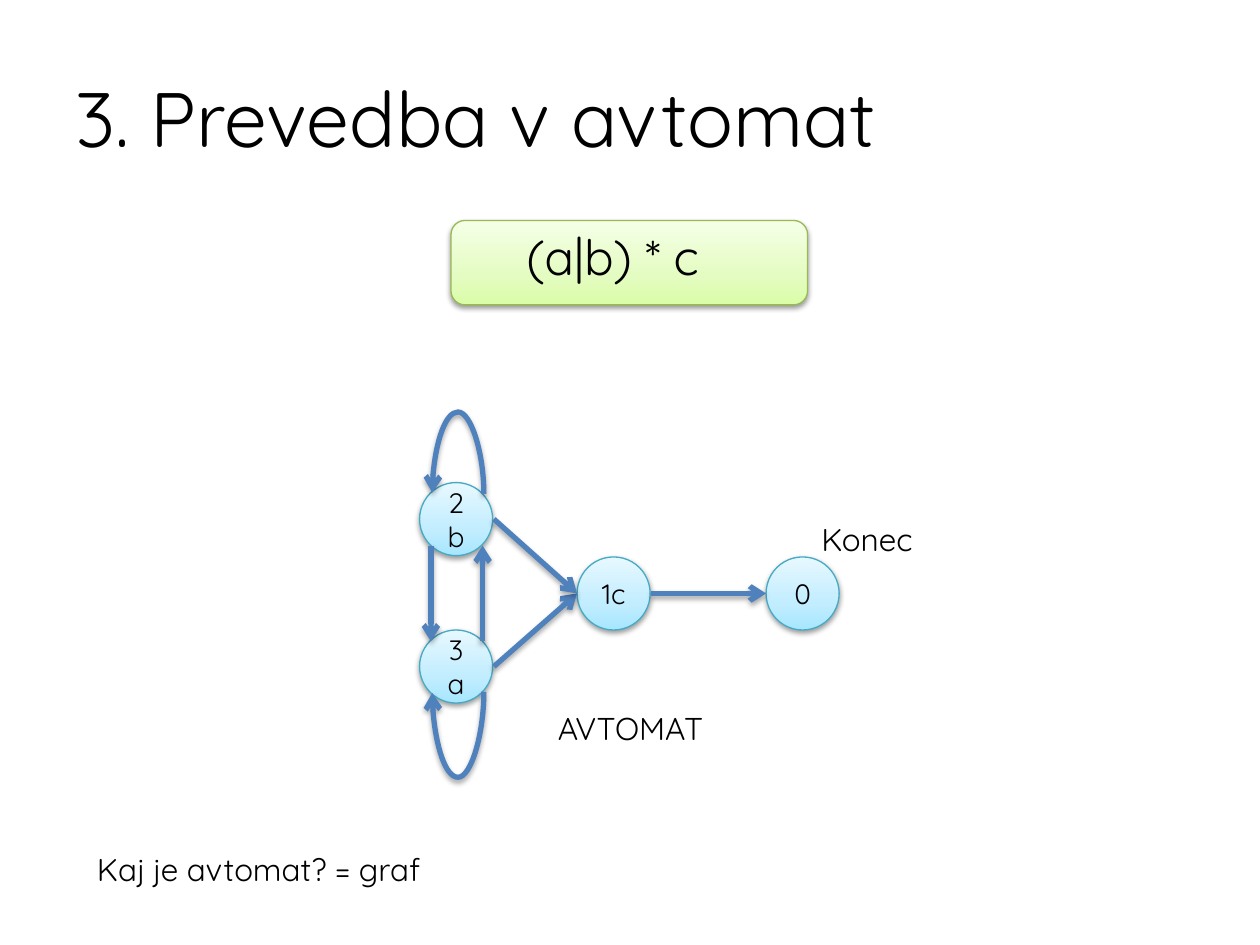
from copy import deepcopy
from lxml.etree import SubElement
from pptx import Presentation
from pptx.dml.color import RGBColor
from pptx.enum.shapes import MSO_CONNECTOR, MSO_SHAPE
from pptx.enum.text import MSO_ANCHOR, PP_ALIGN
from pptx.oxml.ns import qn
from pptx.util import Inches, Pt

BLACK = RGBColor(0x00, 0x00, 0x00)
ARROW_BLUE = RGBColor(0x4F, 0x81, 0xBD)
STATE_LINE = RGBColor(0x46, 0xAA, 0xC5)
STATE_FILL = [RGBColor(0xA7, 0xE6, 0xFF), RGBColor(0xC1, 0xED, 0xFF), RGBColor(0xE7, 0xF8, 0xFF)]
REGEX_LINE = RGBColor(0x98, 0xB9, 0x55)
REGEX_FILL = [RGBColor(0xDA, 0xFD, 0xA7), RGBColor(0xE4, 0xFC, 0xC2), RGBColor(0xF5, 0xFF, 0xE7)]
FONT = "Quicksand"
STATE_SIZE = 0.58


def add_shadow(element, distance, opacity):
    properties = element.spPr
    for old in properties.findall(qn("a:effectLst")):
        properties.remove(old)
    effects = SubElement(properties, qn("a:effectLst"))
    shadow = SubElement(effects, qn("a:outerShdw"), blurRad=str(Pt(3.1)),
                        dist=str(Pt(distance)), dir="5400000", rotWithShape="0")
    color = SubElement(shadow, qn("a:srgbClr"), val="000000")
    SubElement(color, qn("a:alpha"), val=str(opacity * 1000))


def add_node(kind, left, top, width, height, colors, outline):
    node = slide.shapes.add_shape(kind, Inches(left), Inches(top), Inches(width), Inches(height))
    node.fill.gradient()
    node.fill.gradient_angle = 90
    stop_list = node._element.spPr.find(qn("a:gradFill")).find(qn("a:gsLst"))
    stop_list.append(deepcopy(stop_list[-1]))
    for stop, position, color in zip(node.fill.gradient_stops, (0, 0.35, 1), colors):
        stop.position = position
        stop.color.rgb = color
    node.line.color.rgb = outline
    node.line.width = Pt(0.75)
    add_shadow(node._element, 1.6, 38)
    return node


presentation = Presentation()
presentation.slide_width = Inches(10)
presentation.slide_height = Inches(7.5)
slide = presentation.slides.add_slide(presentation.slide_layouts[6])

add_node(MSO_SHAPE.ROUNDED_RECTANGLE, 3.58, 1.75, 2.83, 0.67, REGEX_FILL, REGEX_LINE)

for name, left, top in [("0", 6.08, 4.42), ("3a", 3.33, 5), ("2b", 3.33, 3.83), ("1c", 4.58, 4.42)]:
    state = add_node(MSO_SHAPE.OVAL, left, top, STATE_SIZE, STATE_SIZE, STATE_FILL, STATE_LINE)
    state.text_frame.text = name
    state.text_frame.vertical_anchor = MSO_ANCHOR.MIDDLE
    paragraph = state.text_frame.paragraphs[0]
    paragraph.alignment = PP_ALIGN.CENTER
    paragraph.font.name = FONT
    paragraph.font.size = Pt(16)
    paragraph.font.color.rgb = BLACK

transitions = [
    (MSO_CONNECTOR.STRAIGHT, 3.92, 5.29, 4.58, 4.71, 0, 0),
    (MSO_CONNECTOR.STRAIGHT, 3.92, 4.12, 4.58, 4.71, 0, 0),
    (MSO_CONNECTOR.STRAIGHT, 3.83, 5.09, 3.83, 4.33, 0, 0),
    (MSO_CONNECTOR.STRAIGHT, 3.42, 4.33, 3.42, 5.09, 0, 0),
    (MSO_CONNECTOR.STRAIGHT, 5.17, 4.71, 6.08, 4.71, 0, 0),
    (MSO_CONNECTOR.CURVE, 3.63, 4.12, 3.64, 3.71, 270, 66),
    (MSO_CONNECTOR.CURVE, 3.63, 5.29, 3.64, 5.7, 90, 69),
]
for kind, start_x, start_y, end_x, end_y, rotation, reach in transitions:
    transition = slide.shapes.add_connector(
        kind, Inches(start_x), Inches(start_y), Inches(end_x), Inches(end_y))
    transition.line.color.rgb = ARROW_BLUE
    transition.line.width = Pt(3)
    properties = transition._element.spPr
    SubElement(properties.find(qn("a:ln")), qn("a:tailEnd"), type="arrow")
    if rotation:
        properties.find(qn("a:xfrm")).set("rot", str(rotation * 60000))
        adjustments = properties.find(qn("a:prstGeom")).find(qn("a:avLst"))
        SubElement(adjustments, qn("a:gd"), name="adj1", fmla=f"val {reach * 100000}")
    add_shadow(transition._element, 1.8, 35)

labels = [
    ("3. Prevedba v avtomat", 0.5, 0.3, 9, 1.25, 44, True),
    ("(a|b) * c", 4.08, 1.75, 1.93, 0.57, 28, False),
    ("Konec", 6.42, 4.08, 1, 0.4, 18, False),
    ("AVTOMAT", 4.33, 5.58, 1.42, 0.4, 18, False),
    ("Kaj je avtomat? = graf", 0.67, 6.7, 2.92, 0.4, 18, False),
]
for text, left, top, width, height, size, is_title in labels:
    label = slide.shapes.add_textbox(Inches(left), Inches(top), Inches(width), Inches(height))
    label.text_frame.text = text
    label.text_frame.word_wrap = is_title
    label.text_frame.vertical_anchor = MSO_ANCHOR.MIDDLE if is_title else MSO_ANCHOR.TOP
    paragraph = label.text_frame.paragraphs[0]
    paragraph.font.name = FONT
    paragraph.font.size = Pt(size)
    paragraph.font.color.rgb = BLACK

presentation.save("out.pptx")
